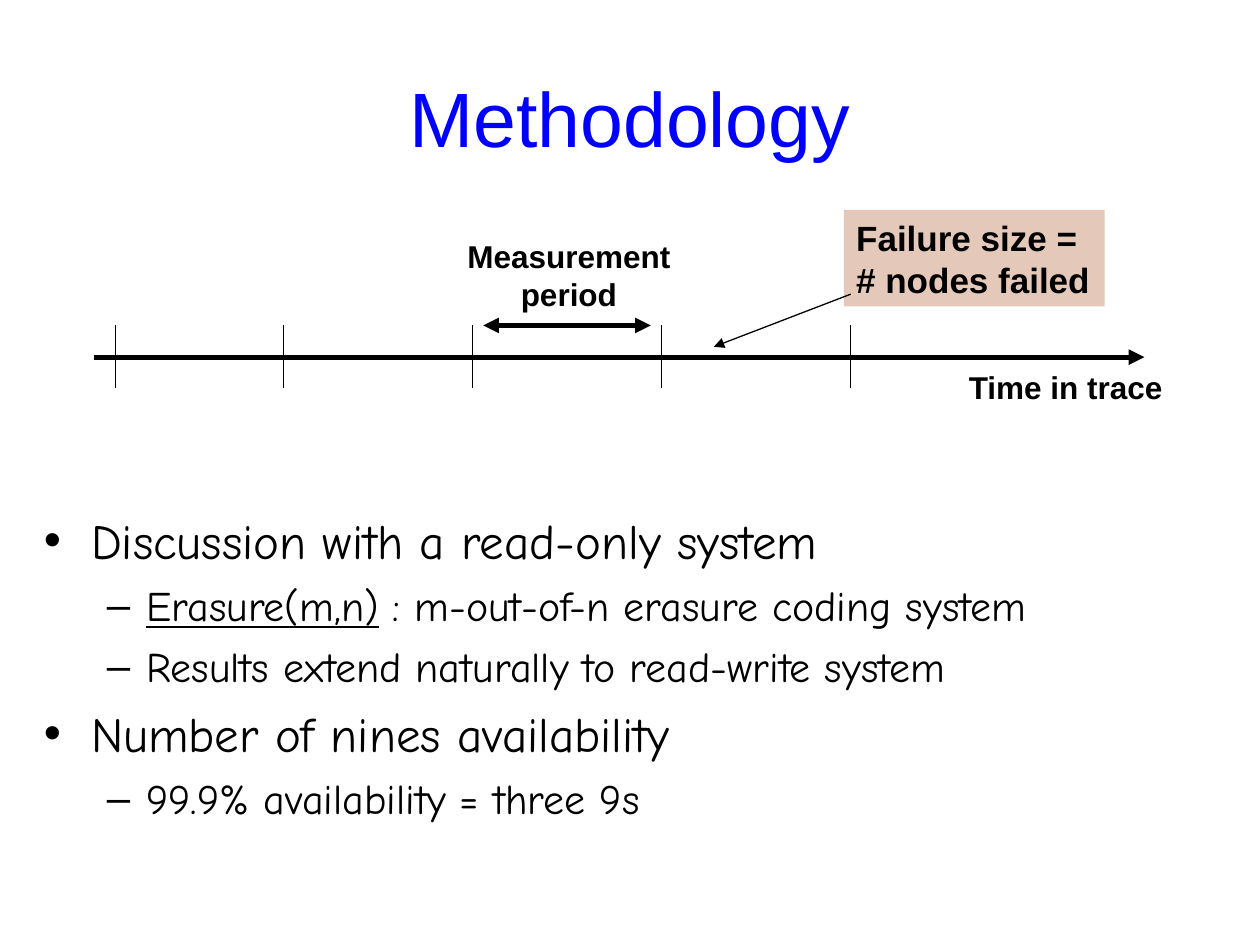
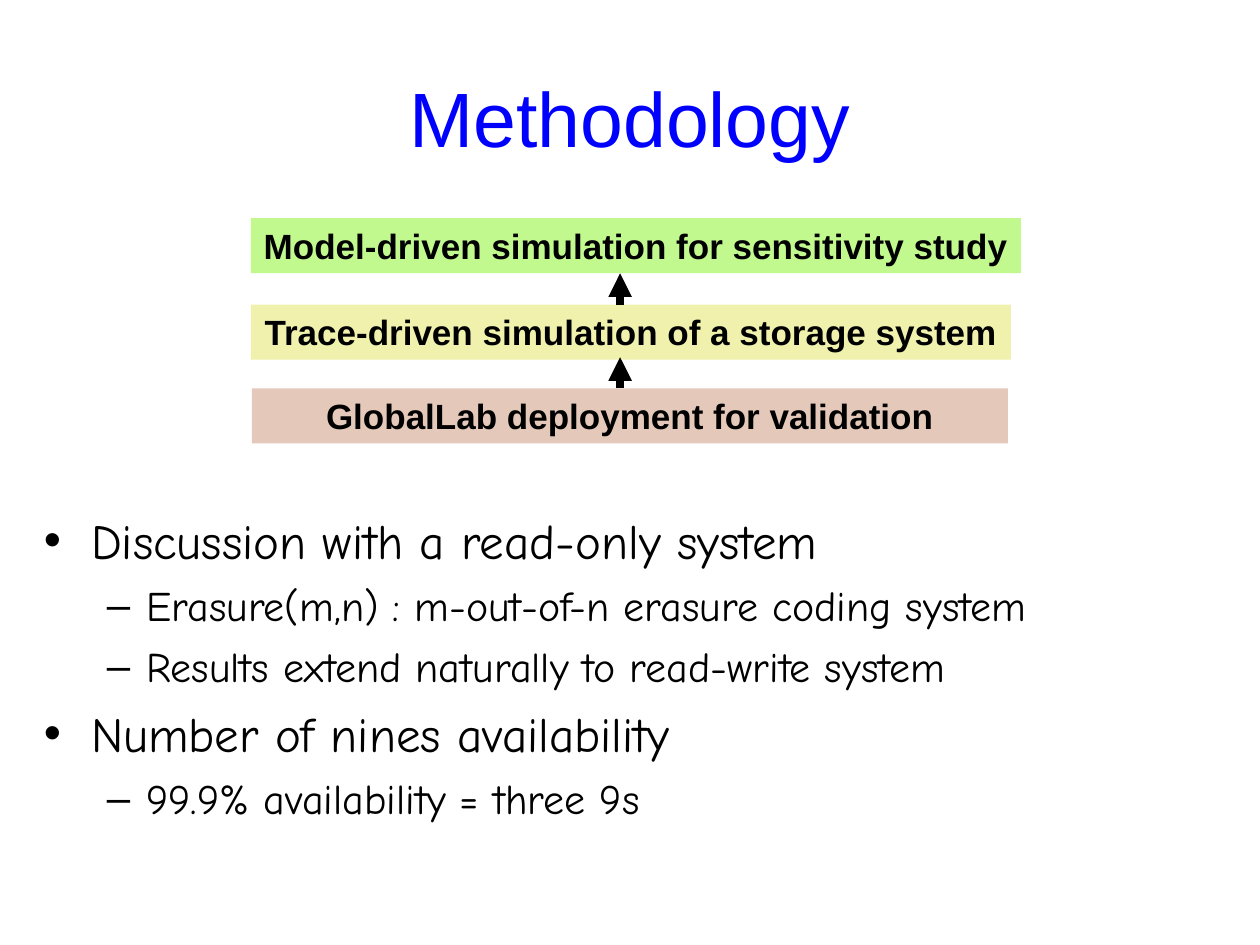
"""Build two Methodology slides: a failure timeline and a simulation stack."""
from dataclasses import dataclass

from lxml import etree
from pptx import Presentation
from pptx import util as u
from pptx.dml.color import RGBColor
from pptx.enum import shapes, text
from pptx.oxml.ns import qn

COLORS = {"title": "0000FF", "ink": "000000", "rose": "E4C9BA",
          "yellow": "EFF1AD", "green": "C1F98F"}
TITLE_FONT = {"name": "Arial", "size": u.Pt(44), "bold": False}
LABEL_FONT = {"name": "Arial", "size": u.Pt(18), "bold": True}
BOX_FONT = {**LABEL_FONT, "size": u.Pt(20)}
LEVEL_FONTS = ({"name": "Comic Neue", "size": u.Pt(28)},
               {"name": "Comic Neue", "size": u.Pt(24)})
LEVEL_SPACE = (u.Pt(7), u.Pt(6))
LEFT, CENTER = text.PP_ALIGN.LEFT, text.PP_ALIGN.CENTER

TERM = "Erasure(m,n)"
BULLETS = (
    (0, "Discussion with a read-only system"),
    (1, f"{TERM} : m-out-of-n erasure coding system"),
    (1, "Results extend naturally to read-write system"),
    (0, "Number of nines availability"),
    (1, "99.9% availability = three 9s"),
)


@dataclass(frozen=True)
class Label:
    """A text block in centimetres, with an optional fill."""
    lines: tuple[str, ...]
    x: float
    y: float
    w: float
    h: float
    fill: str | None = None
    align: text.PP_ALIGN = CENTER
    wrap: bool = False


@dataclass(frozen=True)
class Line:
    """A straight line in centimetres, with arrowheads by end name."""
    x1: float
    y1: float
    x2: float
    y2: float
    width: float = 0.75
    ends: tuple[str, ...] = ()


AXIS_Y, TICK_TOP, TICK_BOTTOM = 7.2, 6.56, 7.83
TICKS = (2.33, *(5.72 + 3.81 * i for i in range(4)))
TIMELINE_LINES = (
    Line(1.9, AXIS_Y, 23.07, AXIS_Y, 3, ("tailEnd",)),
    *(Line(x, TICK_TOP, x, TICK_BOTTOM) for x in TICKS),
    Line(9.74, TICK_TOP, 13.12, TICK_TOP, 3, ("headEnd", "tailEnd")),
)
POINTER = Line(17.15, 5.93, 14.39, 6.99, ends=("tailEnd",))
TIMELINE_LABELS = (
    Label(("Time in trace",), 19.28, 7.29, 4.42, 1.02, align=LEFT),
    Label(("Measurement", "period"), 9.17, 4.65, 4.6, 1.78),
    Label(("Failure size =", "# nodes failed"), 17.01, 4.23, 5.26, 1.95,
          "rose", LEFT),
)
STACK = (
    Label(("Model-driven simulation for sensitivity study",),
          5.06, 4.4, 15.52, 1.11, "green"),
    Label(("Trace-driven simulation of a storage system",),
          5.06, 6.14, 15.32, 1.11, "yellow"),
    Label(("GlobalLab deployment for validation",),
          5.08, 7.83, 15.24, 1.11, "rose", wrap=True),
)
ARROW_X, ARROW_LENGTH = 12.5, 0.63


def rgb(name: str) -> RGBColor:
    """Return a palette colour."""
    return RGBColor.from_string(COLORS[name])


def apply(target: object, values: dict) -> None:
    """Set each attribute named in a dict of format values."""
    for name, value in values.items():
        setattr(target, name, value)


def add_run(p, words: str, font: dict, color: str = "ink") -> None:
    """Append a formatted run to a paragraph."""
    r = p.add_run()
    r.text = words
    apply(r.font, font)
    r.font.color.rgb = rgb(color)


def place(sp, x: float, y: float, w: float, h: float) -> None:
    """Move and size a shape in centimetres."""
    apply(sp, {"left": u.Cm(x), "top": u.Cm(y),
               "width": u.Cm(w), "height": u.Cm(h)})


def add_line(s, line: Line) -> None:
    """Draw a black connector with its arrowheads."""
    ends = (u.Cm(v) for v in (line.x1, line.y1, line.x2, line.y2))
    c = s.shapes.add_connector(shapes.MSO_CONNECTOR.STRAIGHT, *ends)
    c.line.width = u.Pt(line.width)
    c.line.color.rgb = rgb("ink")
    ln = c._element.spPr.find(qn("a:ln"))
    for end in line.ends:
        etree.SubElement(ln, qn(f"a:{end}"), type="triangle")
    etree.SubElement(c._element.spPr, qn("a:effectLst"))


def add_label(s, label: Label) -> None:
    """Draw a plain text label or a filled text box."""
    box = [u.Cm(v) for v in (label.x, label.y, label.w, label.h)]
    if label.fill:
        sp = s.shapes.add_shape(shapes.MSO_SHAPE.RECTANGLE, *box)
        sp.shadow.inherit = False
        sp.fill.solid()
        sp.fill.fore_color.rgb = rgb(label.fill)
        sp.line.fill.background()
    else:
        sp = s.shapes.add_textbox(*box)
    tf = sp.text_frame
    apply(tf, {"word_wrap": label.wrap,
               "auto_size": text.MSO_AUTO_SIZE.SHAPE_TO_FIT_TEXT,
               "vertical_anchor": text.MSO_ANCHOR.TOP})
    for i, words in enumerate(label.lines):
        p = tf.add_paragraph() if i else tf.paragraphs[0]
        p.alignment = label.align
        add_run(p, words, BOX_FONT if label.fill else LABEL_FONT)


def add_methodology_slide(prs, underline_term: bool = False):
    """Add a slide with the shared title and bullet list."""
    s = prs.slides.add_slide(prs.slide_layouts[1])
    title, body = s.placeholders[0], s.placeholders[1]
    place(title, 1.27, 0.76, 22.86, 3.18)
    title.text_frame.vertical_anchor = text.MSO_ANCHOR.MIDDLE
    p = title.text_frame.paragraphs[0]
    p.alignment = CENTER
    add_run(p, "Methodology", TITLE_FONT, "title")

    place(body, 0.63, 10.16, 23.7, 8.05)
    tf = body.text_frame
    tf.auto_size = text.MSO_AUTO_SIZE.NONE
    for i, (level, words) in enumerate(BULLETS):
        p = tf.add_paragraph() if i else tf.paragraphs[0]
        apply(p, {"level": level, "space_before": LEVEL_SPACE[level]})
        font = LEVEL_FONTS[level]
        if underline_term and words.startswith(TERM):
            add_run(p, TERM, {**font, "underline": True})
            words = words.removeprefix(TERM)
        add_run(p, words, font)
    return s


def main() -> None:
    """Build and save the deck."""
    prs = Presentation()
    apply(prs, {"slide_width": u.Cm(25.4), "slide_height": u.Cm(19.05)})

    s = add_methodology_slide(prs, underline_term=True)
    for line in TIMELINE_LINES:
        add_line(s, line)
    for label in TIMELINE_LABELS:
        add_label(s, label)
    add_line(s, POINTER)

    s = add_methodology_slide(prs)
    for label in STACK:
        add_label(s, label)
    for label in STACK[1:]:
        add_line(s, Line(ARROW_X, label.y, ARROW_X, label.y - ARROW_LENGTH,
                         4.5, ("tailEnd",)))
    prs.save("out.pptx")


if __name__ == "__main__":
    main()
